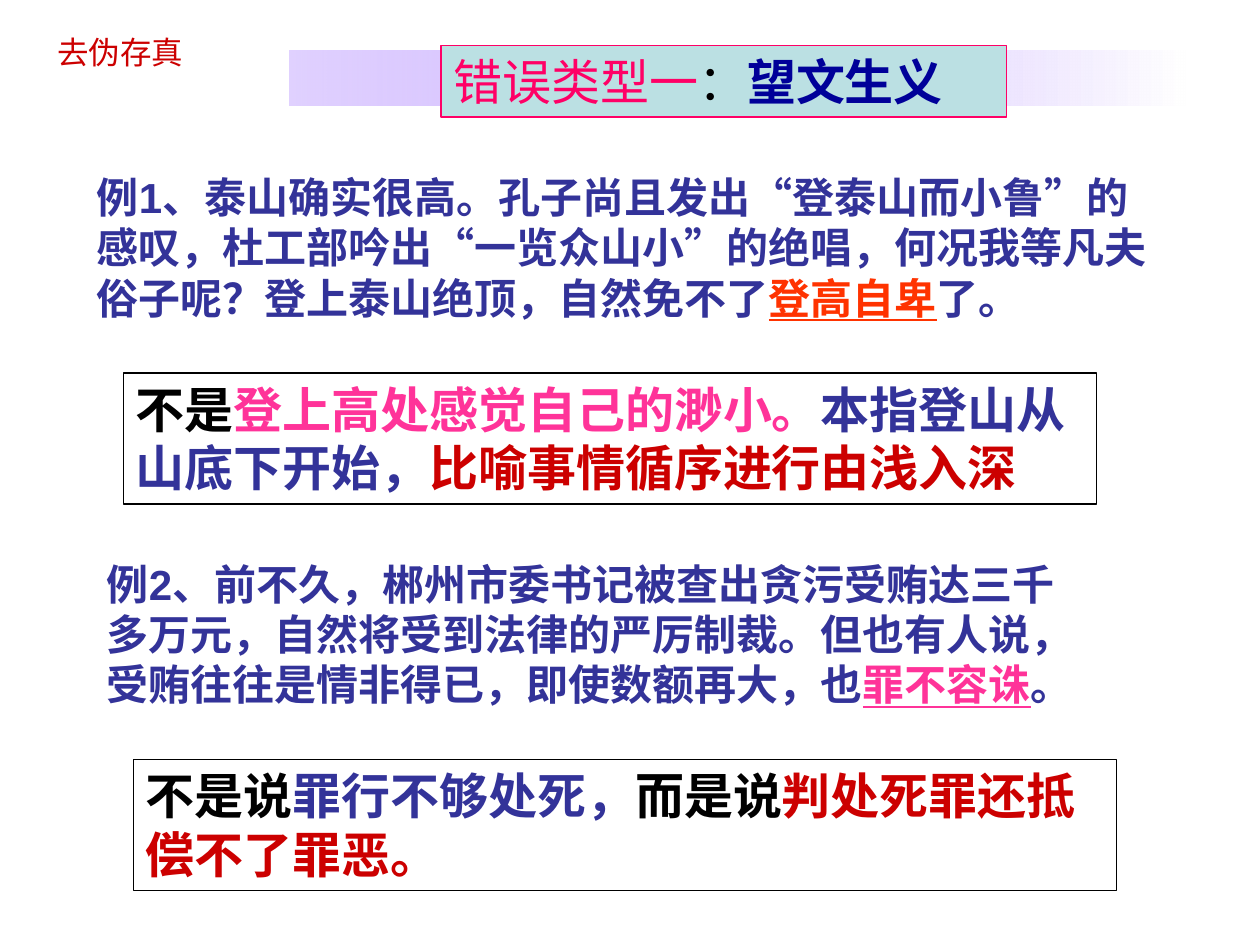
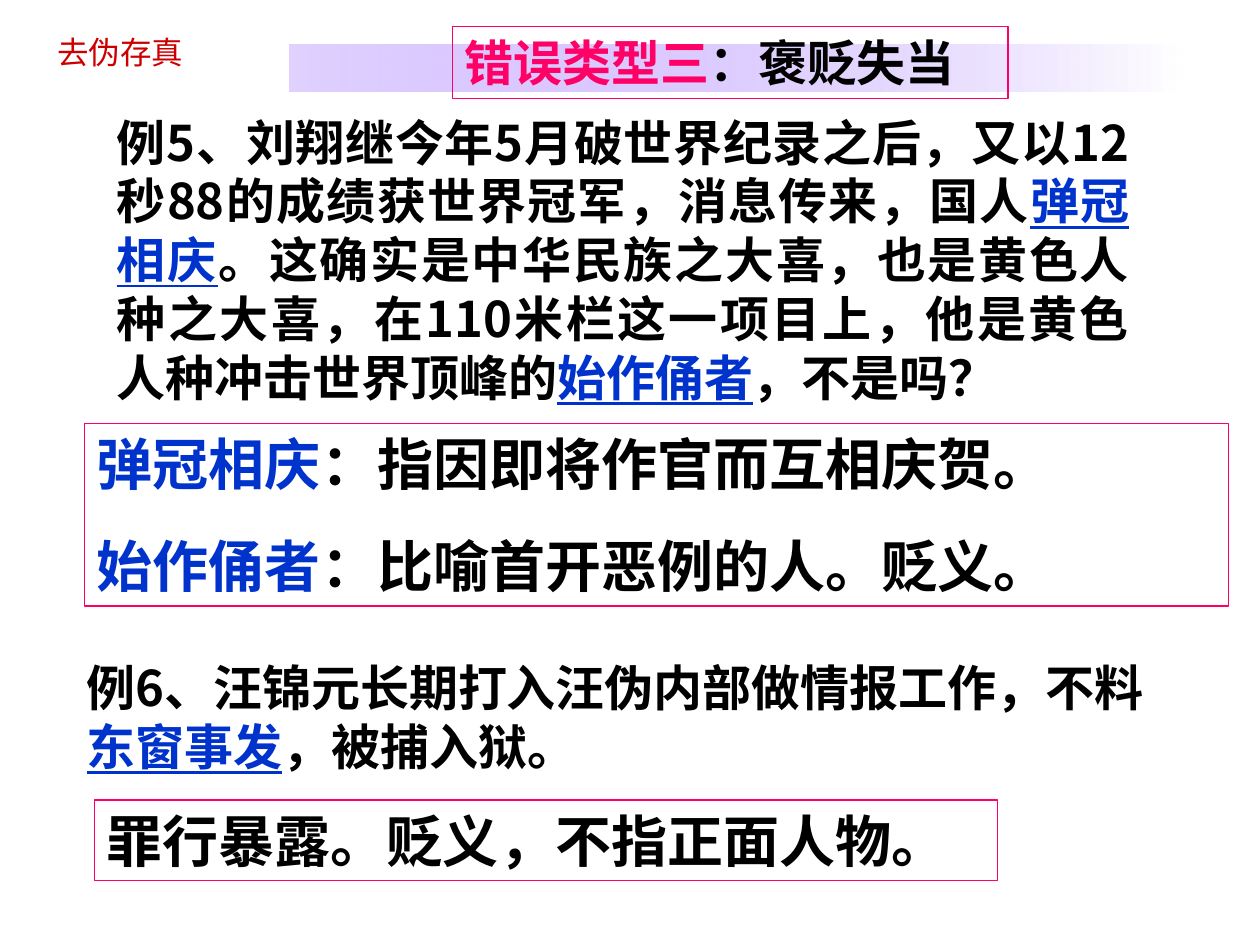
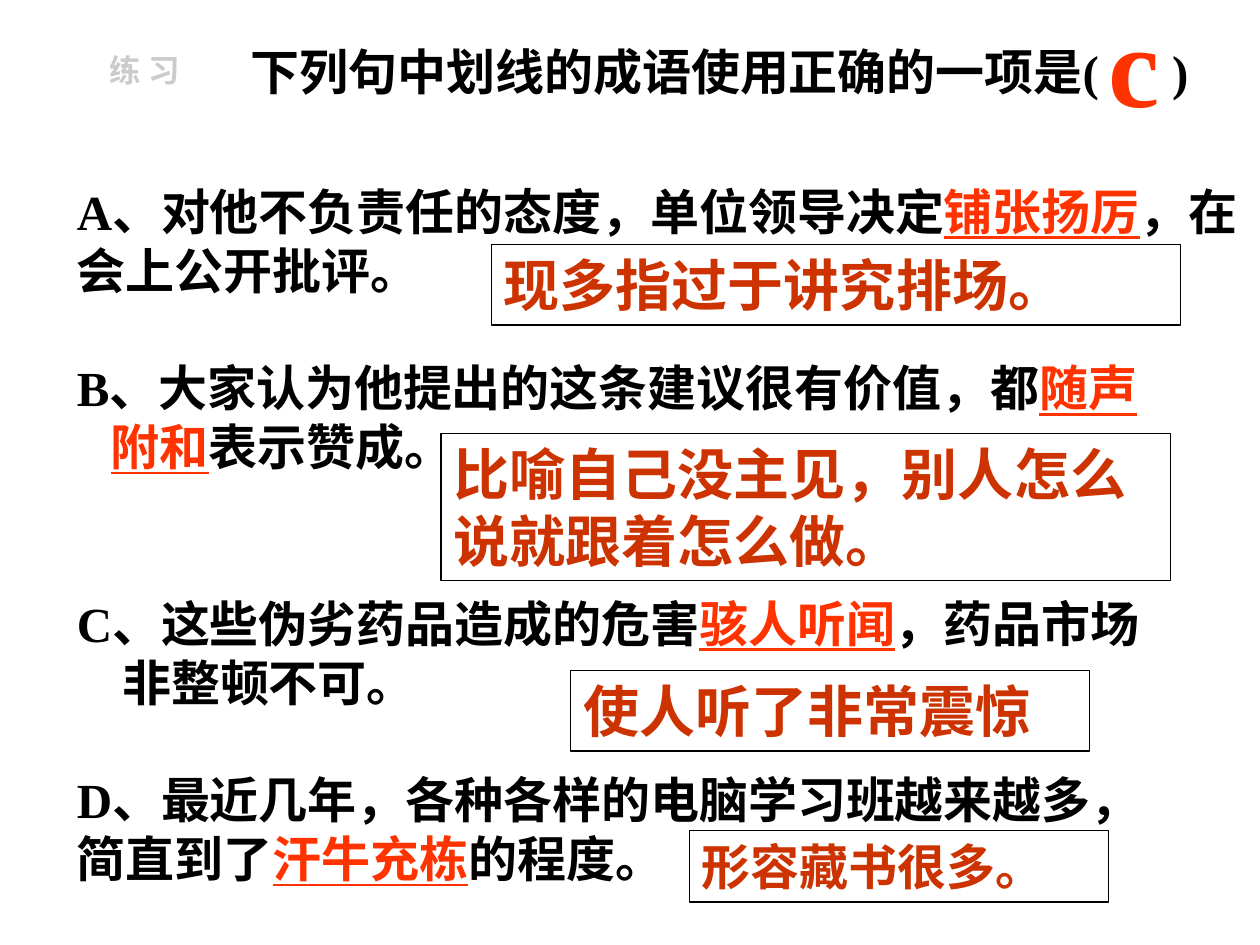
import pptx
import pptx.dml.color
import pptx.enum.shapes
import pptx.enum.text
import pptx.oxml.ns
import pptx.util
from lxml import etree

Inches, Pt = pptx.util.Inches, pptx.util.Pt
RGBColor = pptx.dml.color.RGBColor
ALIGN = pptx.enum.text.PP_ALIGN
qn = pptx.oxml.ns.qn

BLACK = RGBColor(0x00, 0x00, 0x00)
WHITE = RGBColor(0xFF, 0xFF, 0xFF)
INDIGO = RGBColor(0x33, 0x33, 0x99)
NAVY = RGBColor(0x00, 0x00, 0x99)
BLUE = RGBColor(0x00, 0x33, 0xCC)
ORANGE = RGBColor(0xFF, 0x33, 0x00)
RUST = RGBColor(0xCC, 0x33, 0x00)
RED = RGBColor(0xCC, 0x00, 0x00)
PINK = RGBColor(0xFF, 0x33, 0x99)
MAGENTA = RGBColor(0xFF, 0x00, 0x66)
PURPLE = RGBColor(0xCC, 0x00, 0xFF)
VIOLET = RGBColor(0x99, 0x66, 0xFF)
AQUA = RGBColor(0xBB, 0xE0, 0xE3)
SILVER = RGBColor(0xCB, 0xCB, 0xCB)

SANS, CHINESE, SERIF = "Arial", "Noto Sans CJK SC", "Times New Roman"
BAND_LEFT, BAND_WIDTH = 2.3, 7.11
BLANK_LINE = 33.6  # points left free between answer options
WIDE_SPACING = 1750  # hundredths of a point between the answer parentheses

# A run is (text, colour) plus any of the marks "underline", "light" and "wide".
# A box is its place, its paragraphs of runs, and the formatting it needs.
SECTION_TAG = dict(at=(0.27, 0.21, 1.37, 0.63), size=18, align=ALIGN.CENTER,
                   text=[[("去伪存真", RED, "light")]], outline=PURPLE)
EXERCISE_TAG = dict(at=(0.51, 0.36, 1.28, 0.5), size=18, align=ALIGN.CENTER,
                    text=[[("练 习", SILVER)]], outline=BLACK)

LITERAL_READING = dict(
    band=(0.4, 0.44),
    title=dict(at=(3.5, 0.36, 4.49, 0.57), fill=AQUA, border=MAGENTA, text=[[
        ("错误类型一", MAGENTA, "light"), ("：", BLACK, "light"),
        ("望文生义", NAVY)]]),
    boxes=[
        dict(at=(0.67, 1.31, 8.66, 1.3), font=SANS, size=24, text=[[
            ("例1、泰山确实很高。孔子尚且发出“登泰山而小鲁”的感叹，杜工部吟出"
             "“一览众山小”的绝唱，何况我等凡夫俗子呢？登上泰山绝顶，自然免不了",
             INDIGO),
            ("登高自卑", ORANGE, "underline"), ("了。", INDIGO)]]),
        dict(at=(0.98, 2.96, 7.72, 1.04), font=SANS, border=BLACK, text=[[
            ("不是", BLACK), ("登上高处感觉自己的渺小。", PINK),
            ("本指登山从山底下开始，", INDIGO),
            ("比喻事情循序进行由浅入深", RED)]]),
        dict(at=(0.75, 4.38, 8.03, 1.3), font=SANS, size=24, text=[[
            ("例2、前不久，郴州市委书记被查出贪污受贿达三千多万元，自然将受到"
             "法律的严厉制裁。但也有人说，受贿往往是情非得已，即使数额再大，也",
             INDIGO),
            ("罪不容诛", PINK, "underline"), ("。", INDIGO)]]),
        dict(at=(1.06, 6.03, 7.8, 1.04), font=SANS, border=BLACK, text=[[
            ("不是说", BLACK), ("罪行不够处死，", INDIGO), ("而是说", BLACK),
            ("判处死罪还抵偿不了罪恶。", RED)]]),
        SECTION_TAG,
    ])

WRONG_TONE = dict(
    band=(0.35, 0.38),
    title=dict(at=(3.59, 0.21, 4.41, 0.57), border=MAGENTA, text=[[
        ("错误类型三", MAGENTA), ("：褒贬失当", BLACK)]]),
    boxes=[
        dict(at=(0.83, 0.84, 8.23, 2.44), align=ALIGN.JUSTIFY, text=[[
            ("例5、刘翔继今年5月破世界纪录之后，又以12秒88的成绩获世界冠军，"
             "消息传来，国人", BLACK),
            ("弹冠相庆", BLUE, "underline"),
            ("。这确实是中华民族之大喜，也是黄色人种之大喜，在110米栏这一项目上，"
             "他是黄色人种冲击世界顶峰的", BLACK),
            ("始作俑者", BLUE, "underline"), ("，不是吗？", BLACK)]]),
        dict(at=(0.67, 3.36, 9.08, 1.45), size=32, border=MAGENTA,
             space_before={1: 20}, text=[
                 [("弹冠相庆", BLUE), ("：指因即将作官而互相庆贺。", BLACK)],
                 [("始作俑者", BLUE), ("：比喻首开恶例的人。贬义。", BLACK)]]),
        dict(at=(0.75, 6.35, 7.17, 0.64), size=32, border=MAGENTA,
             text=[[("罪行暴露。贬义，不指正面人物。", BLACK)]]),
        dict(at=(0.59, 5.17, 8.74, 1.04), text=[[
            ("例6、汪锦元长期打入汪伪内部做情报工作，不料", BLACK),
            ("东窗事发", BLUE, "underline"), ("，被捕入狱。", BLACK)]]),
        SECTION_TAG,
    ])

EXERCISE = dict(
    title=dict(at=(1.89, 0.28, 8.0, 0.57), font=SERIF, text=[[
        ("下列句中划线的成语使用正确的一项是", BLACK), ("( )", BLACK, "wide")]]),
    body=dict(
        at=(0.51, 1.39, 9.49, 5.71), font=SERIF,
        space_before={1: BLANK_LINE, 3: 2 * BLANK_LINE, 5: BLANK_LINE},
        indents={2: 0.27, 4: 0.36},
        text=[
            [("A、对他不负责任的态度，单位领导决定", BLACK),
             ("铺张扬厉", ORANGE, "underline"), ("，在会上公开批评。", BLACK)],
            [("B、大家认为他提出的这条建议很有价值，都", BLACK),
             ("随声", ORANGE, "underline")],
            [("附和", ORANGE, "underline"), ("表示赞成。", BLACK)],
            [("C、这些伪劣药品造成的危害", BLACK),
             ("骇人听闻", ORANGE, "underline"), ("，药品市场", BLACK)],
            [("非整顿不可。", BLACK)],
            [("D、最近几年，各种各样的电脑学习班越来越多，", BLACK)],
            [("简直到了", BLACK), ("汗牛充栋", ORANGE, "underline"),
             ("的程度。", BLACK)]]),
    boxes=[
        dict(at=(8.7, -0.11, 0.71, 1.2), font=SERIF, size=66,
             text=[[("c", ORANGE)]]),
        EXERCISE_TAG,
    ] + [
        dict(at=at, font=SERIF, size=size, border=BLACK, text=[[(meaning, RUST)]])
        for at, size, meaning in [
            ((3.9, 1.94, 5.47, 0.64), 32, "现多指过于讲究排场。"),
            ((3.5, 3.44, 5.79, 1.17), 32, "比喻自己没主见，别人怎么说就跟着怎么做。"),
            ((4.53, 5.32, 4.12, 0.64), 32, "使人听了非常震惊"),
            ((5.47, 6.59, 3.33, 0.57), 28, "形容藏书很多。")]
    ])

SLIDES = [LITERAL_READING, WRONG_TONE, EXERCISE]


def add_run(para, text, colour, marks, font, size, outline):
    span = para.add_run()
    span.text = text
    span.font.name = font
    span.font.size = Pt(size)
    span.font.bold = "light" not in marks
    span.font.underline = "underline" in marks
    span.font.color.rgb = colour
    properties = span.font._element
    etree.SubElement(properties, qn("a:ea"), typeface=CHINESE)
    if "wide" in marks:
        properties.set("spc", str(WIDE_SPACING))
    if outline is not None:
        line = etree.Element(qn("a:ln"), w=str(Pt(0.75)))
        fill = etree.SubElement(line, qn("a:solidFill"))
        etree.SubElement(fill, qn("a:srgbClr"), val=str(outline))
        properties.insert(0, line)


def set_paragraph(para, indent):
    """Drop the template's bullet and set the left indent."""
    properties = para._p.get_or_add_pPr()
    properties.set("marL", str(Inches(indent)))
    properties.set("indent", "0")
    etree.SubElement(properties, qn("a:buNone"))


def fill_box(box, at, text, font=CHINESE, size=28, align=ALIGN.LEFT, fill=None,
             border=None, outline=None, space_before={}, indents={}):
    box.left, box.top, box.width, box.height = map(Inches, at)
    if fill is not None:
        box.fill.solid()
        box.fill.fore_color.rgb = fill
    if border is not None:
        box.line.color.rgb = border
        box.line.width = Pt(0.75)
    frame = box.text_frame
    frame.word_wrap = True
    frame.auto_size = pptx.enum.text.MSO_AUTO_SIZE.NONE
    frame.vertical_anchor = pptx.enum.text.MSO_ANCHOR.TOP
    for index, runs in enumerate(text):
        para = frame.add_paragraph() if index else frame.paragraphs[0]
        set_paragraph(para, indents.get(index, 0))
        para.alignment = align
        para.space_before = Pt(space_before.get(index, 0))
        for words, colour, *marks in runs:
            add_run(para, words, colour, marks, font, size, outline)


def add_band(page, top, height):
    """Put the fading violet band behind the title."""
    band = page.shapes.add_shape(
        pptx.enum.shapes.MSO_SHAPE.RECTANGLE,
        *map(Inches, (BAND_LEFT, top, BAND_WIDTH, height)))
    band.shadow.inherit = False
    band.line.fill.background()
    band.fill.gradient()
    band.fill.gradient_angle = 0
    start, end = band.fill.gradient_stops
    start.color.rgb, end.color.rgb = VIOLET, WHITE
    start_colour = band._element.spPr.find(".//" + qn("a:srgbClr"))
    etree.SubElement(start_colour, qn("a:alpha"), val="30000")
    page.shapes.title._element.addprevious(band._element)


def add_page(deck, title, boxes, band=None, body=None):
    layout = deck.slide_layouts.get_by_name(
        "Title and Content" if body else "Title Only")
    page = deck.slides.add_slide(layout)
    fill_box(page.shapes.title, **title)
    if band:
        add_band(page, *band)
    if body:
        fill_box(page.placeholders[1], **body)
    for content in boxes:
        fill_box(page.shapes.add_textbox(0, 0, 0, 0), **content)


def main():
    deck = pptx.Presentation()
    deck.slide_width, deck.slide_height = Inches(10), Inches(7.5)
    for content in SLIDES:
        add_page(deck, **content)
    deck.save("out.pptx")


if __name__ == "__main__":
    main()
